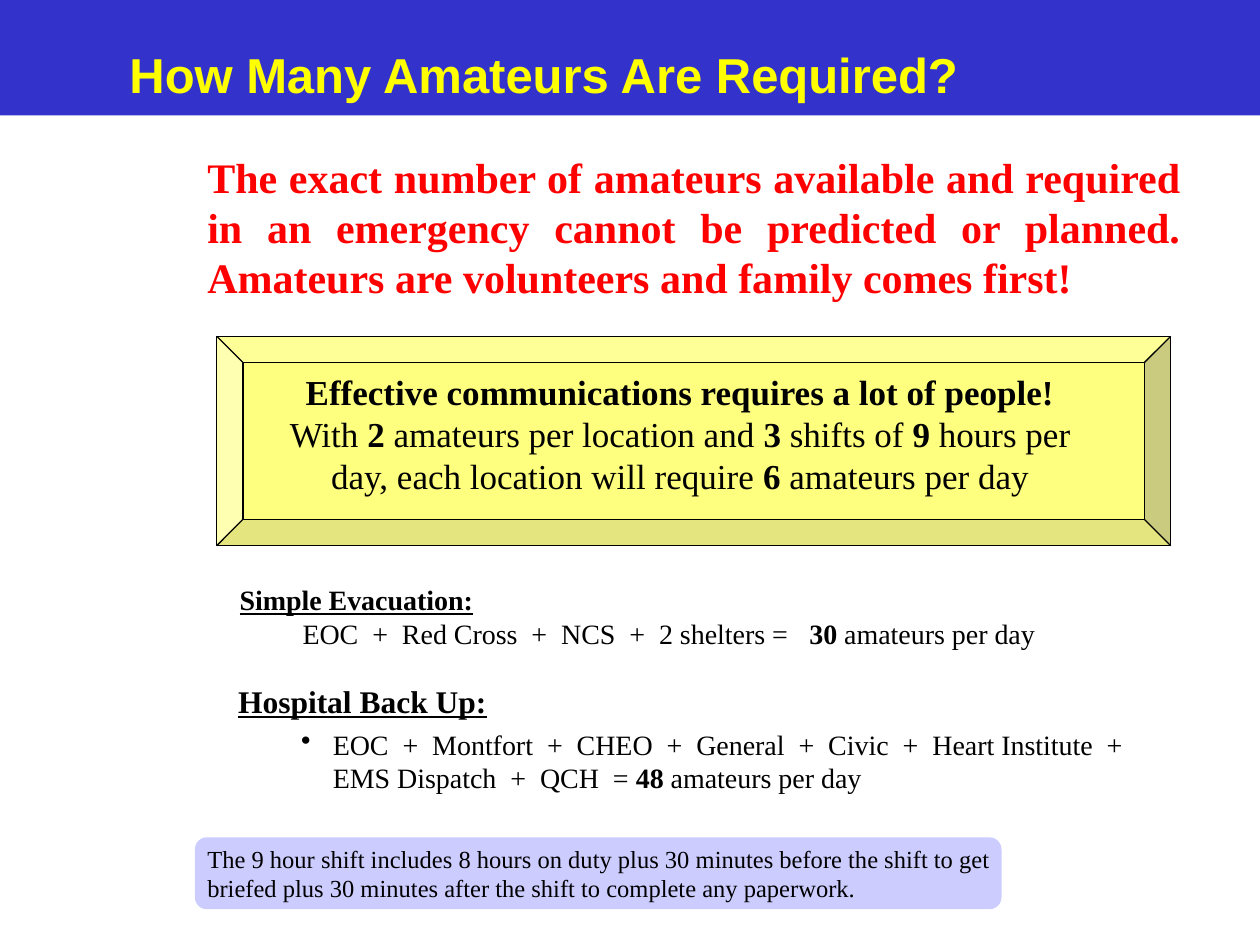
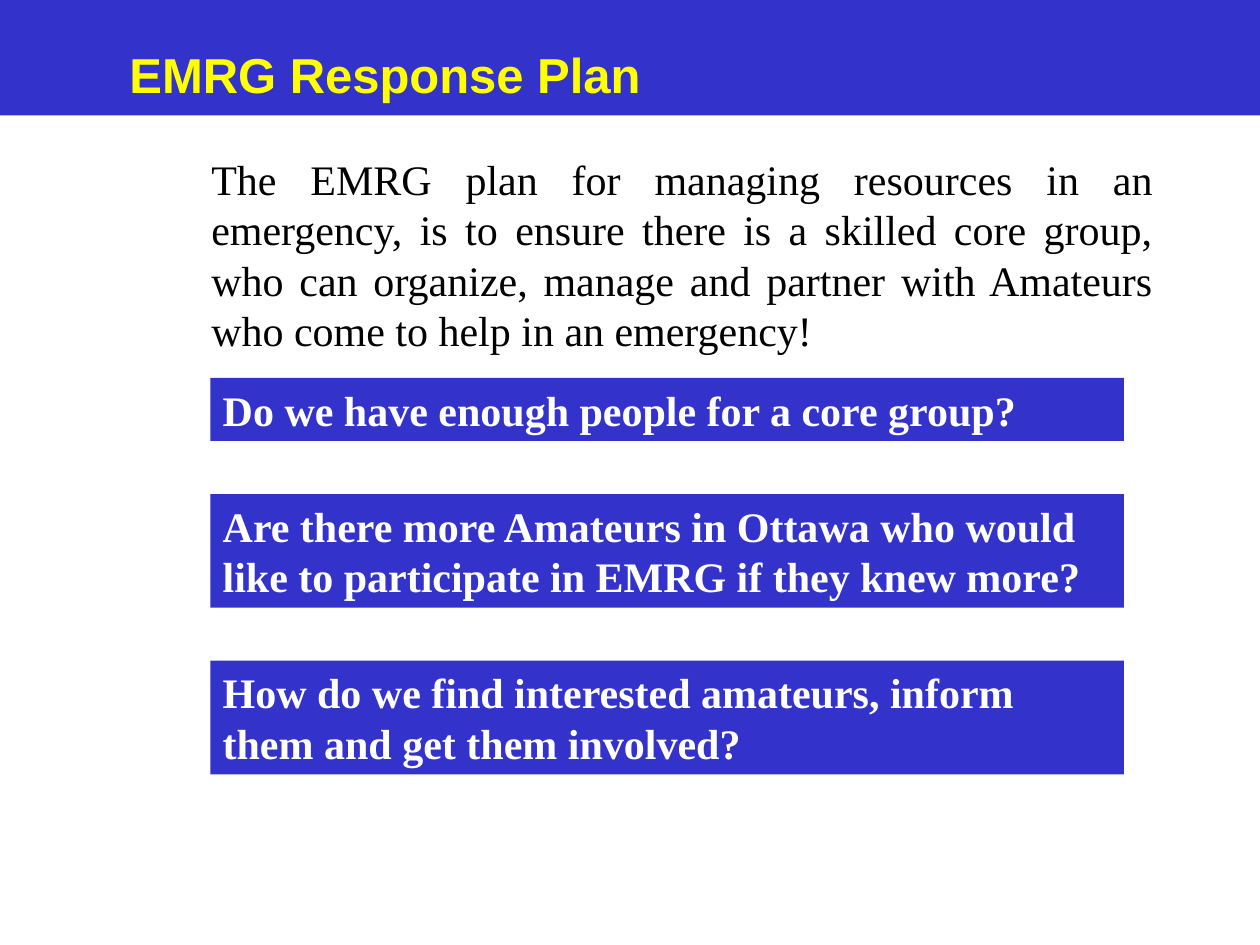
from lxml import etree
from pptx import Presentation
from pptx import util as u
from pptx.dml.color import RGBColor
from pptx.enum import shapes, text
from pptx.oxml import ns

BLUE = RGBColor(0x33, 0x33, 0xCC)
LAVENDER = RGBColor(0xCC, 0xCC, 0xFF)
YELLOW = RGBColor(0xFF, 0xFF, 0x00)
RED = RGBColor(0xFF, 0x00, 0x00)
BLACK = RGBColor(0x00, 0x00, 0x00)
WHITE = RGBColor(0xFF, 0xFF, 0xFF)

TITLE = dict(name="Arial", size=u.Pt(28), bold=True)
BODY = dict(name="Times New Roman", size=u.Pt(24))
STRONG = dict(BODY, bold=True)
CALLOUT = dict(BODY, size=u.Pt(20))
HEADING = dict(STRONG, size=u.Pt(18), underline=True)
DETAIL = dict(BODY, size=u.Pt(16))
DETAIL_HEADING = dict(HEADING, size=u.Pt(16))
NOTE = dict(BODY, size=u.Pt(14))

LEFT, JUSTIFY, CENTER = (text.PP_ALIGN.LEFT, text.PP_ALIGN.JUSTIFY,
                         text.PP_ALIGN.CENTER)
PLUS = "  +  "
BAND_HEIGHT = 2.33
QUESTION_LEFT, QUESTION_TOP, QUESTION_WIDTH = 4.24, 7.62, 18.42
QUESTION_GAP = 1.07
ONE_LINE, TWO_LINES = 1.27, 2.29


def set_all(target, values):
    for key, value in values.items():
        setattr(target, key, value)


def place(left, top, width, height):
    return [u.Cm(length) for length in (left, top, width, height)]


def add_panel(slide, kind, box, fill, line=None, adjust=None, opacity=None):
    panel = slide.shapes.add_shape(kind, *place(*box))
    panel.shadow.inherit = False
    panel.fill.solid()
    panel.fill.fore_color.rgb = fill
    if line is None:
        panel.line.fill.background()
    else:
        panel.line.color.rgb = line
        panel.line.width = u.Pt(0.75)
    if adjust is not None:
        panel.adjustments[0] = adjust
    if opacity is not None:
        color = panel.fill._xPr.find(".//" + ns.qn("a:srgbClr"))
        etree.SubElement(color, ns.qn("a:alpha"), val=str(opacity * 1000))
    return panel


def write_paragraph(paragraph, words, style, color=BLACK, align=LEFT,
                    indent=0, hanging=0, before=0):
    """Words between asterisks are bold."""
    properties = paragraph._p.get_or_add_pPr()
    properties.set("marL", str(u.Cm(indent)))
    properties.set("indent", str(-u.Cm(hanging)))
    if hanging:
        etree.SubElement(properties, ns.qn("a:buChar"), char="•")
    set_all(paragraph, dict(alignment=align, space_before=u.Pt(before)))
    for position, part in enumerate(words.split("*")):
        if part:
            run = paragraph.add_run()
            run.text = part
            set_all(run.font, style)
            run.font.color.rgb = color
            if position % 2:
                run.font.bold = True


def write_text(holder, *paragraphs):
    frame = holder.text_frame
    set_all(frame, dict(word_wrap=True, vertical_anchor=text.MSO_ANCHOR.TOP))
    for position, content in enumerate(paragraphs):
        paragraph = frame.add_paragraph() if position else frame.paragraphs[0]
        write_paragraph(paragraph, **content)


def add_text(slide, box, *paragraphs):
    write_text(slide.shapes.add_textbox(*place(*box)), *paragraphs)


def add_titled_slide(deck, title, title_width):
    slide = deck.slides.add_slide(deck.slide_layouts[6])
    add_panel(slide, shapes.MSO_SHAPE.RECTANGLE, (0, 0, 25.4, BAND_HEIGHT), BLUE)
    add_text(slide, (2.36, 0.78, title_width, 1.45),
             dict(words=title, style=TITLE, color=YELLOW))
    return slide


def add_questions(slide, questions):
    top = QUESTION_TOP
    for question, height in questions:
        panel = add_panel(slide, shapes.MSO_SHAPE.RECTANGLE,
                          (QUESTION_LEFT, top, QUESTION_WIDTH, height), BLUE)
        write_text(panel, dict(words=question, style=STRONG, color=WHITE))
        top += height + QUESTION_GAP


def build_amateurs_required(deck):
    slide = add_titled_slide(deck, "How Many Amateurs Are Required?", 17.5)
    add_text(slide, (3.93, 2.92, 20.12, 3.3), dict(
        words="The exact number of amateurs available and required in an "
              "emergency cannot be predicted or planned. Amateurs are "
              "volunteers and family comes first!",
        style=STRONG, color=RED, align=JUSTIFY))

    add_panel(slide, shapes.MSO_SHAPE.BEVEL, (4.37, 6.78, 19.23, 4.22), YELLOW,
              line=BLACK, adjust=0.125, opacity=50)
    add_text(slide, (5.57, 7.34, 16.28, 3.66),
             dict(words="*Effective communications requires a lot of people!*",
                  style=CALLOUT, align=CENTER),
             dict(words="With *2* amateurs per location and *3* shifts of *9* "
                        "hours per day, each location will require *6* "
                        "amateurs per day",
                  style=CALLOUT, align=CENTER))

    evacuation = PLUS.join(["EOC", "Red Cross", "NCS", "2 shelters"])
    add_text(slide, (3.31, 11.62, 18.2, 1.63),
             dict(words="Simple Evacuation:", style=DETAIL_HEADING, indent=1.27),
             dict(words=evacuation + " =   *30* amateurs per day",
                  style=DETAIL, indent=2.54))

    hospitals = PLUS.join(["EOC", "Montfort", "CHEO", "General", "Civic",
                           "Heart Institute", "EMS Dispatch", "QCH"])
    add_text(slide, (3.28, 13.63, 20.78, 3.25),
             dict(words="Hospital Back Up:", style=HEADING, indent=1.27),
             dict(words=hospitals + "  = *48* amateurs per day",
                  style=DETAIL, indent=3.18, hanging=0.64, before=4))

    add_panel(slide, shapes.MSO_SHAPE.ROUNDED_RECTANGLE,
              (3.93, 16.88, 16.26, 1.45), LAVENDER)
    add_text(slide, (3.93, 16.88, 17.42, 1.45), dict(
        words="The 9 hour shift includes 8 hours on duty plus 30 minutes "
              "before the shift to get briefed plus 30 minutes after the "
              "shift to complete any paperwork.",
        style=NOTE))


def build_response_plan(deck):
    slide = add_titled_slide(deck, "EMRG Response Plan", 11.5)
    add_text(slide, (4.01, 2.97, 19.48, 4.32), dict(
        words="The EMRG plan for managing resources in an emergency, is to "
              "ensure there is a skilled core group, who can organize, manage "
              "and partner with Amateurs who come to help in an emergency!",
        style=BODY, align=JUSTIFY))
    add_questions(slide, [
        ("Do we have enough people for a core group?", ONE_LINE),
        ("Are there more Amateurs in Ottawa who would like to participate in "
         "EMRG if they knew more?", TWO_LINES),
        ("How do we find interested amateurs, inform them and get them "
         "involved?", TWO_LINES),
    ])


def main():
    deck = Presentation()
    set_all(deck, dict(slide_width=u.Cm(25.4), slide_height=u.Cm(19.05)))
    build_amateurs_required(deck)
    build_response_plan(deck)
    deck.save("out.pptx")


if __name__ == "__main__":
    main()
